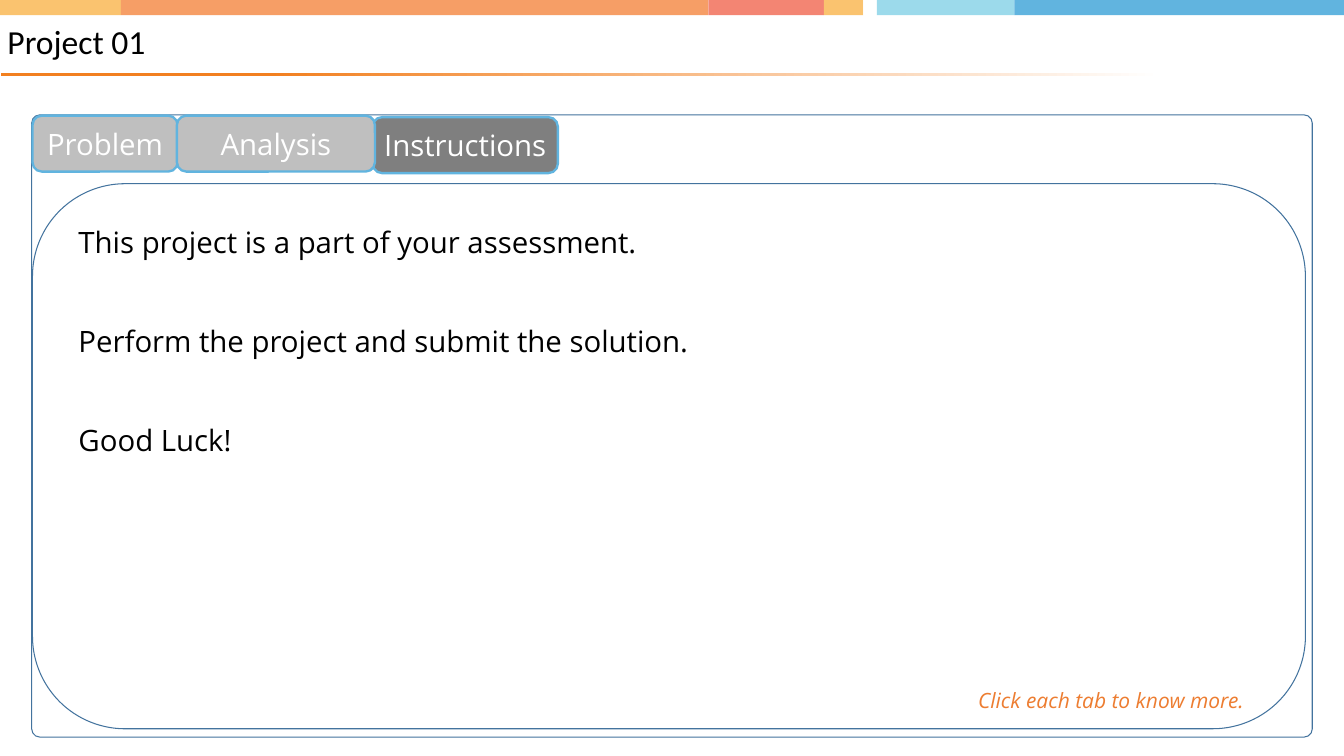
from pptx import Presentation
from pptx import util as u
from pptx.dml.color import RGBColor
from pptx.enum import shapes, text

HUES = {
    "gold": "FAC36F", "peach": "F69E66", "coral": "F38573", "white": "FFFFFF",
    "aqua": "9CDAEB", "blue": "61B4DF", "flame": "F28020", "navy": "43739E",
    "light": "BFBFBF", "dark": "7F7F7F", "black": "000000", "rust": "ED7D31",
}
RECT = shapes.MSO_SHAPE.RECTANGLE
ROUND = shapes.MSO_SHAPE.ROUNDED_RECTANGLE

deck = Presentation()
deck.slide_width = u.Inches(17.78)
deck.slide_height = u.Inches(10)
slide = deck.slides.add_slide(deck.slide_layouts[6])


def add_box(kind, spot, fill=None, line=None, width=1):
    """Add a shape without shadow; no fill or line unless a hue is named."""
    box = slide.shapes.add_shape(kind, *[u.Inches(n) for n in spot])
    box.shadow.inherit = False
    if fill:
        box.fill.solid()
        box.fill.fore_color.rgb = RGBColor.from_string(HUES[fill])
    else:
        box.fill.background()
    if line:
        box.line.color.rgb = RGBColor.from_string(HUES[line])
        box.line.width = u.Pt(width)
    else:
        box.line.fill.background()
    return box


def write(box, words, size, hue, font="Open Sans"):
    """Put words in a box, one paragraph a line, and format the runs."""
    box.text_frame.word_wrap = True
    box.text_frame.text = words
    for para in box.text_frame.paragraphs:
        for run in para.runs:
            run.font.size = u.Pt(size)
            run.font.name = font
            run.font.color.rgb = RGBColor.from_string(HUES[hue])
    return box.text_frame


# Colour band along the top
edges = [0, 1.6, 9.37, 10.9, 11.42, 11.6, 13.42, 17.78]
band = ["gold", "peach", "coral", "gold", "white", "aqua", "blue"]
for left, right, hue in zip(edges, edges[1:], band):
    add_box(RECT, (left, -0.01, right - left, 0.21), hue)

# Fading rule under the title
rule = add_box(RECT, (0.01, 0.96, 15.35, 0.04))
rule.fill.gradient()
rule.fill.gradient_angle = 0
for stop, place, hue in zip(rule.fill.gradient_stops, (0.23, 1), ("flame", "white")):
    stop.position = place
    stop.color.rgb = RGBColor.from_string(HUES[hue])

# Title
title = slide.shapes.add_textbox(u.Inches(0), u.Inches(0.21), u.Inches(14.55), u.Inches(0.73))
frame = write(title, "Project 01", 32, "black", "Calibri")
frame.vertical_anchor = text.MSO_ANCHOR.MIDDLE
frame.margin_top = frame.margin_right = frame.margin_bottom = 0
frame.paragraphs[0].line_spacing = 0.9

# Tabs and frames, from back to front
tabs = [
    ("Instructions", 4.93, 1.55, 2.45, "dark"),
    ("Problem", 0.43, 1.53, 1.92, "light"),
    ("Analysis", 2.34, 1.53, 2.62, "light"),
]
frames = {
    "Problem": ((0.42, 1.52, 16.94, 8.23), 0.013),
    "Analysis": ((0.43, 2.43, 16.84, 7.21), 0.17),
}
for name, left, top, width, hue in tabs:
    if name in frames:
        spot, bend = frames[name]
        panel = add_box(ROUND, spot, line="navy")
        panel.adjustments[0] = bend
    tab = add_box(ROUND, (left, top, width, 0.74), hue, "blue", 2.25)
    frame = write(tab, name, 28, "white")
    frame.vertical_anchor = text.MSO_ANCHOR.MIDDLE
    frame.paragraphs[0].alignment = text.PP_ALIGN.CENTER

# Hint
hint = slide.shapes.add_textbox(u.Inches(12.84), u.Inches(9.04), u.Inches(4.16), u.Inches(0.44))
frame = write(hint, "Click each tab to know more.", 20, "rust")
frame.paragraphs[0].runs[0].font.italic = True

# Body
lines = [
    "This project is a part of your assessment.",
    "Perform the project and submit the solution.",
    "Good Luck!",
]
body = slide.shapes.add_textbox(u.Inches(0.94), u.Inches(2.68), u.Inches(16.33), u.Inches(3.64))
frame = write(body, "\n".join(lines), 28, "black")
for para in frame.paragraphs:
    para.line_spacing = 1.5
    para.space_after = u.Pt(44)

deck.save("out.pptx")
